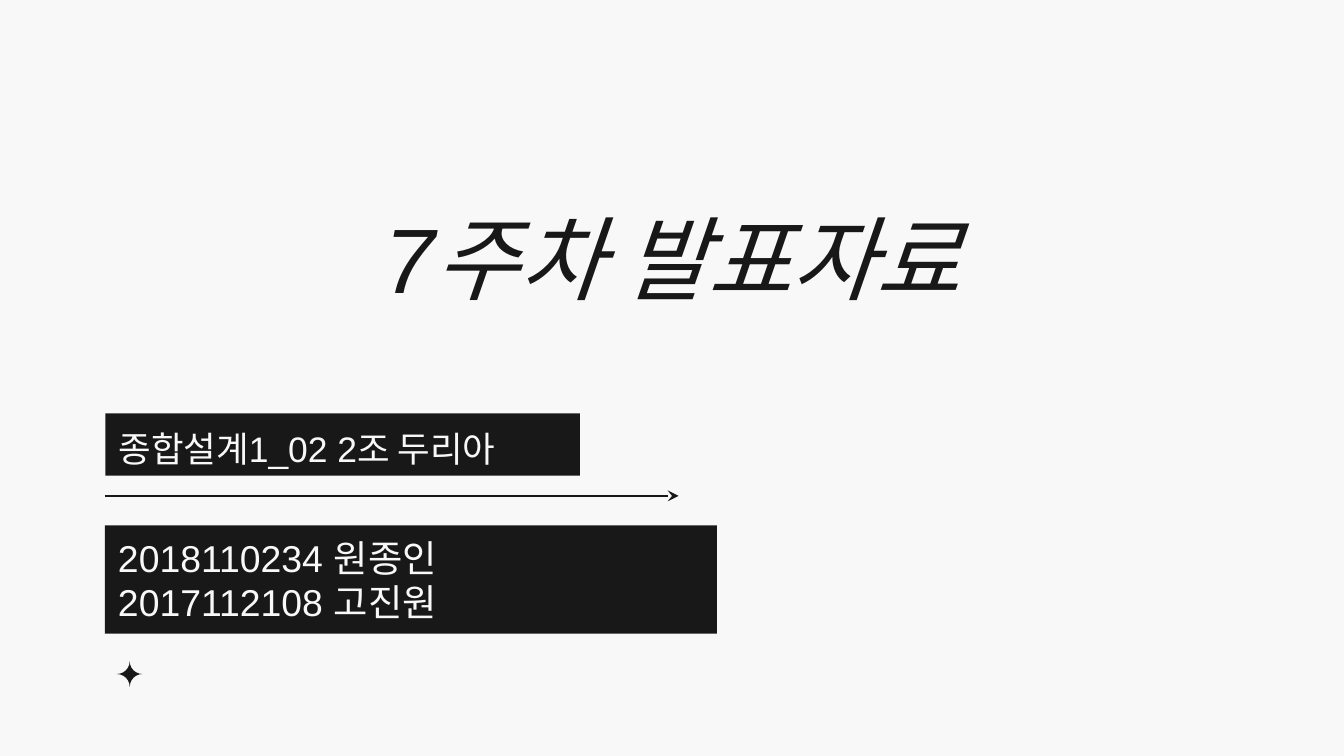
"""Build the title slide of a week 7 project talk."""
from dataclasses import dataclass

import pptx
import pptx.dml.color
import pptx.enum.shapes
import pptx.enum.text
import pptx.oxml
import pptx.oxml.ns
import pptx.util

SCALE = 4572
ALIGN = pptx.enum.text.PP_ALIGN
ANCHOR = pptx.enum.text.MSO_ANCHOR
SHAPE = pptx.enum.shapes.MSO_SHAPE


@dataclass(frozen=True)
class Theme:
    ink: str = "181818"
    paper: str = "F8F8F8"
    font: str = "Arial"
    title: int = 49
    names: int = 20
    team: int = 19
    rule: float = 0.75


@dataclass(frozen=True)
class Box:
    left: int
    top: int
    width: int
    height: int

    def emu(self) -> list[int]:
        return [px(n) for n in (self.left, self.top, self.width, self.height)]


@dataclass(frozen=True)
class Label:
    box: Box
    text: str
    size: int
    anchor: ANCHOR


THEME = Theme()
LABELS = (
    Label(Box(156, 782, 911, 161), "2018110234 원종인\n2017112108 고진원", THEME.names, ANCHOR.MIDDLE),
    Label(Box(157, 615, 706, 93), "종합설계1_02 2조 두리아", THEME.team, ANCHOR.TOP),
)


def px(n: int) -> int:
    return pptx.util.Emu(n * SCALE)


def color(code: str) -> pptx.dml.color.RGBColor:
    return pptx.dml.color.RGBColor.from_string(code)


def write(shape, text: str, *, size: int, ink: str, align=ALIGN.LEFT,
          anchor=ANCHOR.MIDDLE, italic: bool = False) -> None:
    frame = shape.text_frame
    frame.text = text
    frame.word_wrap = True
    frame.auto_size = pptx.enum.text.MSO_AUTO_SIZE.NONE
    frame.vertical_anchor = anchor
    frame.margin_left = frame.margin_right = px(20)
    frame.margin_top = frame.margin_bottom = px(20)
    for para in frame.paragraphs:
        para.alignment = align
        for run in para.runs:
            run.font.name = THEME.font
            run.font.size = pptx.util.Pt(size)
            run.font.italic = italic
            run.font.color.rgb = color(ink)


def block(slide, kind: SHAPE, box: Box):
    shape = slide.shapes.add_shape(kind, *box.emu())
    shape.shadow.inherit = False
    shape.fill.solid()
    shape.fill.fore_color.rgb = color(THEME.ink)
    shape.line.fill.background()
    return shape


def arrow(slide, left: int, right: int, top: int) -> None:
    line = slide.shapes.add_connector(
        pptx.enum.shapes.MSO_CONNECTOR.STRAIGHT, px(left), px(top), px(right), px(top))
    line.line.color.rgb = color(THEME.ink)
    line.line.width = pptx.util.Pt(THEME.rule)
    tail = pptx.oxml.parse_xml(f'<a:tailEnd {pptx.oxml.ns.nsdecls("a")} type="stealth"/>')
    line.line._get_or_add_ln().append(tail)
    flat = pptx.oxml.parse_xml(f'<a:effectLst {pptx.oxml.ns.nsdecls("a")}/>')
    line._element.spPr.append(flat)


def main() -> None:
    deck = pptx.Presentation()
    deck.slide_width, deck.slide_height = px(2000), px(1125)
    slide = deck.slides.add_slide(deck.slide_layouts[5])
    slide.background.fill.solid()
    slide.background.fill.fore_color.rgb = color(THEME.paper)

    title = slide.shapes.title
    title.left, title.top, title.width, title.height = Box(440, 132, 1120, 500).emu()
    write(title, "7주차 발표자료", size=THEME.title, ink=THEME.ink,
          align=ALIGN.CENTER, italic=True)

    for item in LABELS:
        shape = block(slide, SHAPE.RECTANGLE, item.box)
        write(shape, item.text, size=item.size, ink=THEME.paper, anchor=item.anchor)

    arrow(slide, 156, 1010, 738)
    star = block(slide, SHAPE.PLAQUE, Box(174, 984, 38, 38))
    star.adjustments[0] = 0.5
    deck.save("out.pptx")


if __name__ == "__main__":
    main()
